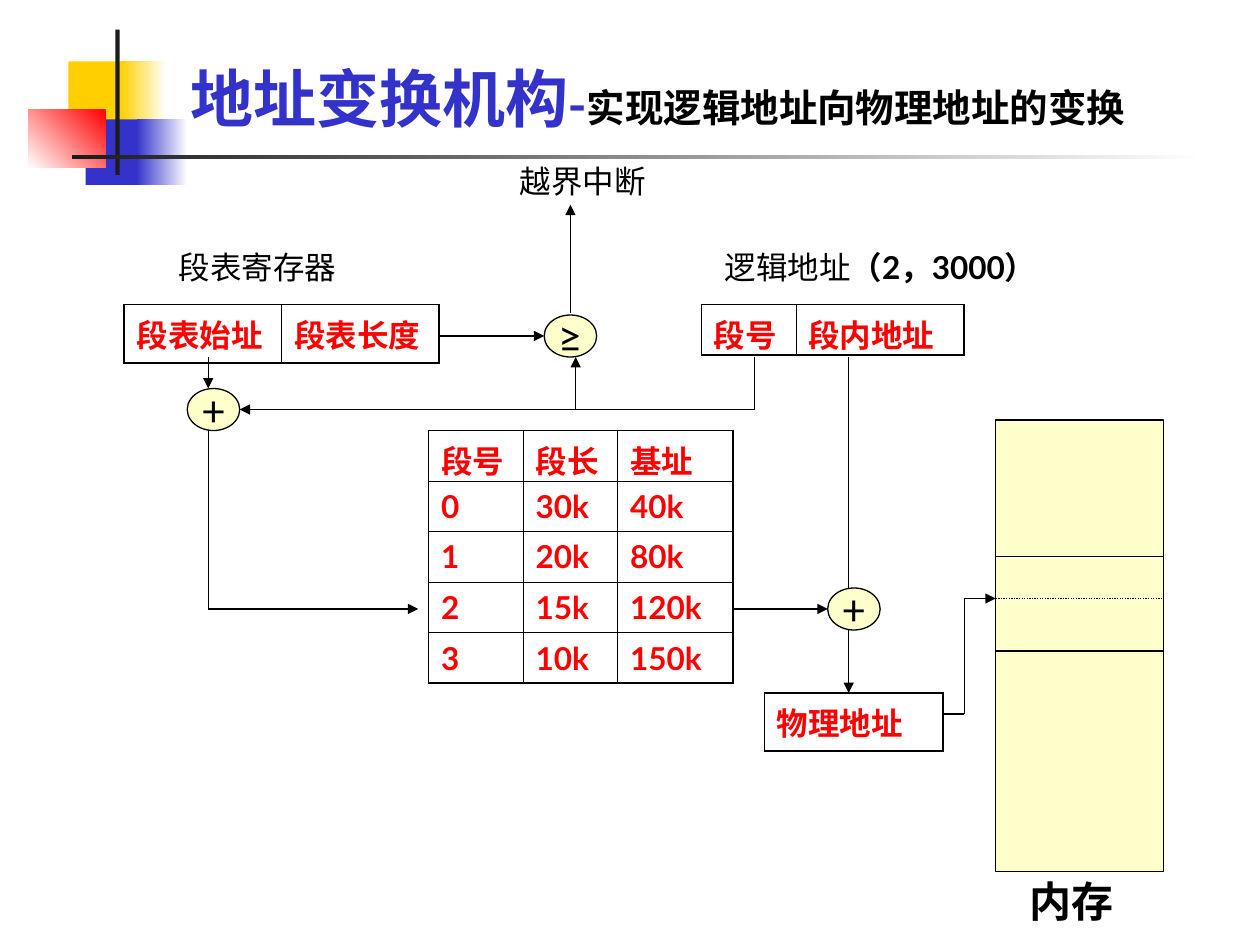
import itertools

import lxml.etree
import pptx
import pptx.dml.color
import pptx.enum.dml
import pptx.enum.shapes
import pptx.enum.text
import pptx.oxml
import pptx.oxml.ns
import pptx.util

Pt = pptx.util.Pt
SHAPES = pptx.enum.shapes.MSO_SHAPE
ANCHOR = pptx.enum.text.MSO_ANCHOR
ALIGN = pptx.enum.text.PP_ALIGN

BLACK, WHITE, RED, BLUE = "000000", "FFFFFF", "FF0000", "3333CC"
GOLD, INK, CREAM = "FFCF01", "1C1C1C", "FFFFCC"
BODY_FONT, TITLE_FONT = "Lato", "Noto Sans CJK SC"
OUTER_BORDER, INNER_BORDER = 1.08, 0.45


def color(value):
    return pptx.dml.color.RGBColor.from_string(value)


def set_font(font, size, value=BLACK, bold=False, name=BODY_FONT):
    font.name = name
    font.size = Pt(size)
    font.bold = bold
    font.color.rgb = color(value)


def add_shape(page, kind, left, top, width, height, fill, outline=None):
    shape = page.shapes.add_shape(kind, Pt(left), Pt(top), Pt(width), Pt(height))
    shape.shadow.inherit = False
    shape.fill.solid()
    shape.fill.fore_color.rgb = color(fill)
    if outline:
        shape.line.color.rgb = color(outline)
        shape.line.width = Pt(0.75)
    else:
        shape.line.fill.background()
    return shape


def add_fade(page, left, top, width, height, start, angle=0):
    shape = add_shape(page, SHAPES.RECTANGLE, left, top, width, height, start)
    shape.fill.gradient()
    shape.fill.gradient_angle = angle
    for stop, value in zip(shape.fill.gradient_stops, (start, WHITE)):
        stop.color.rgb = color(value)


def add_operator(page, left, top, symbol):
    circle = add_shape(page, SHAPES.OVAL, left, top, 30, 24, CREAM, BLACK)
    frame = circle.text_frame
    frame.word_wrap = False
    frame.vertical_anchor = ANCHOR.MIDDLE
    para = frame.paragraphs[0]
    para.text = symbol
    para.alignment = ALIGN.CENTER
    set_font(para.font, 24)


def add_text(page, left, top, width, height, anchor=ANCHOR.TOP):
    box = page.shapes.add_textbox(Pt(left), Pt(top), Pt(width), Pt(height))
    box.text_frame.word_wrap = True
    box.text_frame.vertical_anchor = anchor
    return box.text_frame.paragraphs[0]


def add_label(page, left, top, width, height, text, size=18, bold=False):
    para = add_text(page, left, top, width, height)
    para.text = text
    set_font(para.font, size, bold=bold)


def add_span(para, text, size, value=BLACK, bold=True, name=BODY_FONT):
    span = para.add_run()
    span.text = text
    set_font(span.font, size, value, bold, name)


def add_route(page, *points, arrow=True, dotted=False):
    for start, end in itertools.pairwise(points):
        line = page.shapes.add_connector(
            pptx.enum.shapes.MSO_CONNECTOR.STRAIGHT,
            *(Pt(value) for value in (*start, *end)))
        line.line.color.rgb = color(BLACK)
        line.line.width = Pt(0.75)
        if dotted:
            line.line.dash_style = pptx.enum.dml.MSO_LINE.ROUND_DOT
        if arrow and end == points[-1]:
            outline = line.line._get_or_add_ln()
            lxml.etree.SubElement(outline, pptx.oxml.ns.qn("a:tailEnd"), type="triangle")
        lxml.etree.SubElement(line._element.spPr, pptx.oxml.ns.qn("a:effectLst"))


def set_borders(cell, widths):
    properties = cell._tc.get_or_add_tcPr()
    for index, (side, width) in enumerate(zip("LRTB", widths)):
        properties.insert(index, pptx.oxml.parse_xml(
            f'<a:ln{side} {pptx.oxml.ns.nsdecls("a")} w="{Pt(width)}">'
            f'<a:solidFill><a:srgbClr val="{BLACK}"/></a:solidFill></a:ln{side}>'))


def add_grid(page, left, top, widths, row_height, rows):
    table = page.shapes.add_table(
        len(rows), len(widths), Pt(left), Pt(top),
        Pt(sum(widths)), Pt(row_height * len(rows))).table
    table.first_row = False
    table.horz_banding = False
    for column, width in zip(table.columns, widths):
        column.width = Pt(width)
    for r, texts in enumerate(rows):
        table.rows[r].height = Pt(row_height)
        for c, text in enumerate(texts):
            cell = table.cell(r, c)
            cell.fill.background()
            edges = (c == 0, c == len(widths) - 1, r == 0, r == len(rows) - 1)
            set_borders(cell, [OUTER_BORDER if edge else INNER_BORDER for edge in edges])
            para = cell.text_frame.paragraphs[0]
            para.text = text
            set_font(para.font, 18, RED, True)


def add_decoration(page):
    add_shape(page, SHAPES.RECTANGLE, 39, 35, 35, 37.5, GOLD)
    add_fade(page, 69, 35, 26, 37.5, GOLD)
    add_shape(page, SHAPES.RECTANGLE, 49, 68.2, 33, 37.5, BLUE)
    add_fade(page, 78, 68.2, 29, 37.5, BLUE)
    add_fade(page, 16.4, 62.5, 44, 33.3, RED, 225)
    add_shape(page, SHAPES.RECTANGLE, 66, 17, 2.4, 83, INK)
    add_fade(page, 41, 88.5, 648, 2.4, INK)


def add_title(page):
    para = add_text(page, 102, 20, 618, 60.5, ANCHOR.BOTTOM)
    add_span(para, "地址变换机构", 36, BLUE, name=TITLE_FONT)
    add_span(para, "-", 28, BLUE, name=TITLE_FONT)
    add_span(para, "实现逻辑地址向物理地址的变换", 22, name=TITLE_FONT)


def add_memory(page):
    left, right = 569, 665
    add_shape(page, SHAPES.RECTANGLE, left, 240, right - left, 258, CREAM, BLACK)
    for y, dotted in ((318, False), (342, True), (372, False)):
        add_route(page, (left, y), (right, y), arrow=False, dotted=dotted)
    add_label(page, 581, 497, 70, 36, "内存", 24, True)


def main():
    deck = pptx.Presentation()
    deck.slide_width, deck.slide_height = Pt(720), Pt(540)
    page = deck.slides.add_slide(deck.slide_layouts[6])
    add_decoration(page)
    add_title(page)

    add_label(page, 95, 138, 114, 29, "段表寄存器")
    add_label(page, 290, 89, 94, 29, "越界中断")
    address = add_text(page, 407, 138, 220, 29)
    add_span(address, "逻辑地址", 18, bold=False)
    add_span(address, "（2，3000）", 18)

    add_grid(page, 70.8, 174, [90, 90], 33.3, [["段表始址", "段表长度"]])
    add_grid(page, 400.8, 174, [54, 96], 28.8, [["段号", "段内地址"]])
    add_grid(page, 436.8, 396, [102], 33.3, [["物理地址"]])
    add_grid(page, 244.8, 246, [54, 54, 66], 28.9, [
        ["段号", "段长", "基址"],
        ["0", "30k", "40k"],
        ["1", "20k", "80k"],
        ["2", "15k", "120k"],
        ["3", "10k", "150k"],
    ])
    add_memory(page)

    add_route(page, (251, 192), (311, 192))
    add_route(page, (326, 179), (326, 117))
    add_route(page, (431, 204), (431, 234), (137, 234))
    add_route(page, (329, 234), (329, 204))
    add_route(page, (119, 204), (119, 222))
    add_route(page, (119, 246), (119, 348), (239, 348))
    add_route(page, (485, 204), (485, 336), arrow=False)
    add_route(page, (419, 348), (473, 348))
    add_route(page, (485, 360), (485, 396))
    add_route(page, (539, 408), (551, 408), (551, 342), (569, 342))

    add_operator(page, 311, 180, "≥")
    add_operator(page, 107, 222, "+")
    add_operator(page, 473, 336, "+")
    deck.save("out.pptx")


if __name__ == "__main__":
    main()
